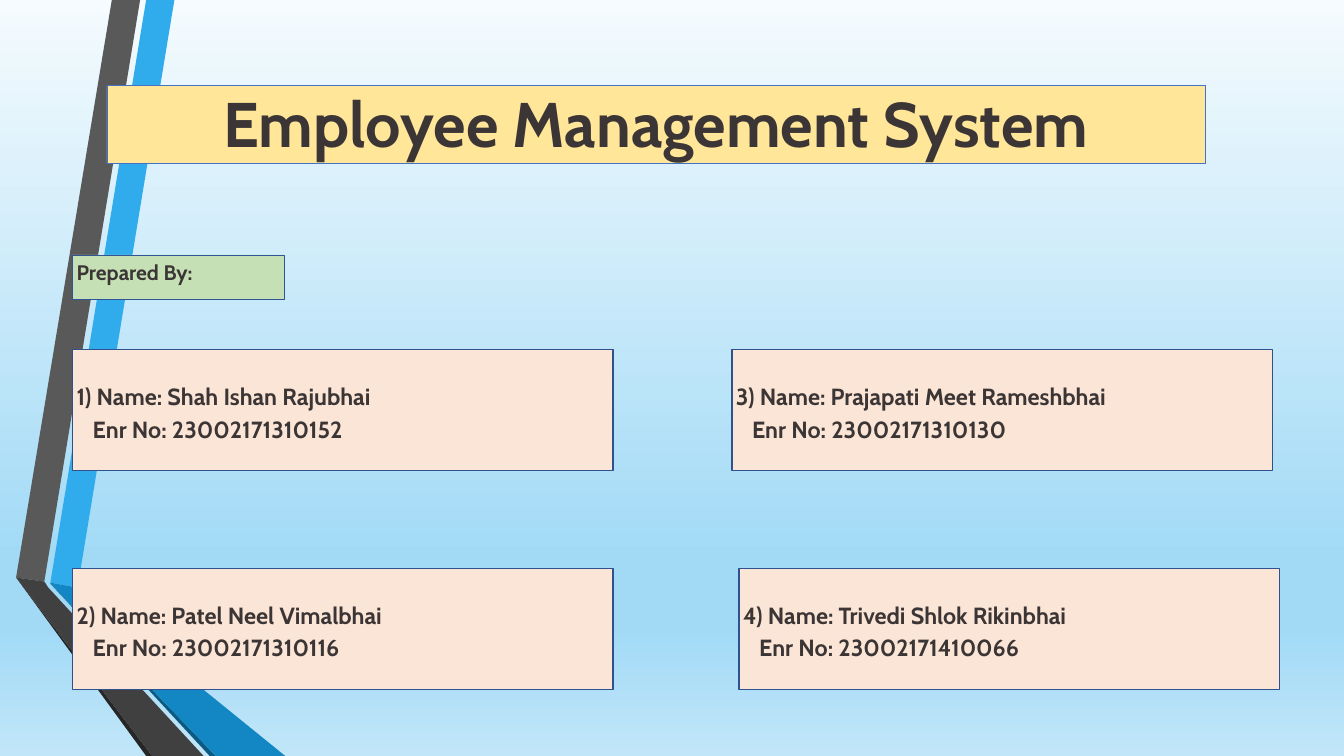
import copy

import pptx
import pptx.dml.color
import pptx.enum.shapes
import pptx.enum.text
import pptx.oxml.ns
import pptx.util

Inches = pptx.util.Inches
Pt = pptx.util.Pt
RGBColor = pptx.dml.color.RGBColor
PP_ALIGN = pptx.enum.text.PP_ALIGN
MSO_ANCHOR = pptx.enum.text.MSO_ANCHOR

SKY = RGBColor(0x30, 0xAC, 0xEC)
BLUE = RGBColor(0x12, 0x87, 0xC3)
DEEP_BLUE = RGBColor(0x0C, 0x5A, 0x82)
GRAY = RGBColor(0x59, 0x59, 0x59)
DARK_GRAY = RGBColor(0x40, 0x40, 0x40)
CHARCOAL = RGBColor(0x26, 0x26, 0x26)
INK = RGBColor(0x3B, 0x35, 0x35)
YELLOW = RGBColor(0xFF, 0xE6, 0x99)
GREEN = RGBColor(0xC5, 0xE0, 0xB4)
PEACH = RGBColor(0xFB, 0xE5, 0xD6)
TITLE_EDGE = RGBColor(0x44, 0x72, 0xC4)
LABEL_EDGE = RGBColor(0x2F, 0x55, 0x97)
CARD_EDGE = RGBColor(0x2F, 0x52, 0x8F)

BACKGROUND = [
    (0, RGBColor(0xF5, 0xFB, 0xFE)),
    (0.74, RGBColor(0xA2, 0xDA, 0xF6)),
    (0.83, RGBColor(0xA2, 0xDA, 0xF6)),
    (1, RGBColor(0xC1, 0xE6, 0xF9)),
]

RIBBONS = [
    (SKY, [(0.5, 5.78), (0.77, 5.83), (1.73, 0), (1.45, 0)]),
    (GRAY, [(1.39, 0), (1.11, 0), (0.16, 5.73), (0.44, 5.77)]),
    (CHARCOAL, [(0.16, 5.73), (1.45, 7.5), (1.51, 7.5)]),
    (DEEP_BLUE, [(0.5, 5.79), (2.08, 7.5), (2.14, 7.5)]),
    (BLUE, [(0.5, 5.79), (2.14, 7.5), (2.83, 7.5), (0.77, 5.83), (0.5, 5.78)]),
    (DARK_GRAY, [(2.02, 7.5), (0.48, 5.83), (0.44, 5.77), (0.16, 5.73), (1.51, 7.5)]),
]

STUDENTS = [
    (0.72, 3.47, "1) Name: Shah Ishan Rajubhai", "Enr No: 23002171310152"),
    (0.72, 5.64, "2) Name: Patel Neel Vimalbhai", "Enr No: 23002171310116"),
    (7.33, 5.64, "4) Name: Trivedi Shlok Rikinbhai", "Enr No: 23002171410066"),
    (7.26, 3.47, "3) Name: Prajapati Meet Rameshbhai", "Enr No: 23002171310130"),
]

TITLE = dict(fill=YELLOW, edge=TITLE_EDGE, width=0.25, size=45, spacing=50,
             align=PP_ALIGN.CENTER, anchor=MSO_ANCHOR.TOP)
LABEL = dict(fill=GREEN, edge=LABEL_EDGE, width=0.25, size=15, spacing=18,
             align=PP_ALIGN.LEFT, anchor=MSO_ANCHOR.TOP)
CARD = dict(fill=PEACH, edge=CARD_EDGE, width=0.9, size=16.7, spacing=23.3,
            align=PP_ALIGN.LEFT, anchor=MSO_ANCHOR.MIDDLE)


def set_all(obj, values):
    for name, value in values.items():
        setattr(obj, name, value)


def paint_background(s):
    fill = s.background.fill
    fill.gradient()
    fill.gradient_angle = 270
    stops = s.element.find(".//" + pptx.oxml.ns.qn("a:gsLst"))
    for _ in range(len(BACKGROUND) - len(stops)):
        stops.append(copy.deepcopy(stops[0]))
    for stop, (position, color) in zip(fill.gradient_stops, BACKGROUND):
        stop.position = position
        stop.color.rgb = color


def add_ribbon(s, color, points):
    corners = [(Inches(x), Inches(y)) for x, y in points]
    builder = s.shapes.build_freeform(*corners[0])
    builder.add_line_segments(corners[1:], close=True)
    sp = builder.convert_to_shape()
    sp.shadow.inherit = False
    sp.fill.solid()
    sp.fill.fore_color.rgb = color
    sp.line.fill.background()


def add_panel(s, box, lines, style):
    sp = s.shapes.add_shape(pptx.enum.shapes.MSO_SHAPE.RECTANGLE,
                            *[Inches(v) for v in box])
    sp.shadow.inherit = False
    sp.fill.solid()
    sp.fill.fore_color.rgb = style["fill"]
    sp.line.color.rgb = style["edge"]
    sp.line.width = Pt(style["width"])
    tf = sp.text_frame
    set_all(tf, dict(word_wrap=True, vertical_anchor=style["anchor"]))
    set_all(tf, {f"margin_{side}": Inches(0.04)
                 for side in ("left", "top", "right", "bottom")})
    for i, (text, indent) in enumerate(lines):
        p = tf.paragraphs[0] if i == 0 else tf.add_paragraph()
        set_all(p, dict(alignment=style["align"], line_spacing=Pt(style["spacing"])))
        if indent:
            p._p.get_or_add_pPr().set("marL", str(Inches(indent)))
        r = p.add_run()
        r.text = text
        set_all(r.font, dict(name="Cabin", size=Pt(style["size"]), bold=True))
        r.font.color.rgb = INK


def main():
    prs = pptx.Presentation()
    set_all(prs, dict(slide_width=Inches(13.33), slide_height=Inches(7.5)))
    s = prs.slides.add_slide(prs.slide_layouts[6])
    paint_background(s)
    for color, points in RIBBONS:
        add_ribbon(s, color, points)
    add_panel(s, (1.06, 0.85, 10.89, 0.77), [("Employee Management System", 0)], TITLE)
    add_panel(s, (0.72, 2.53, 2.1, 0.44), [("Prepared By:", 0)], LABEL)
    for left, top, name, number in STUDENTS:
        add_panel(s, (left, top, 5.36, 1.2), [(name, 0), (number, 0.16)], CARD)
    prs.save("out.pptx")


if __name__ == "__main__":
    main()
